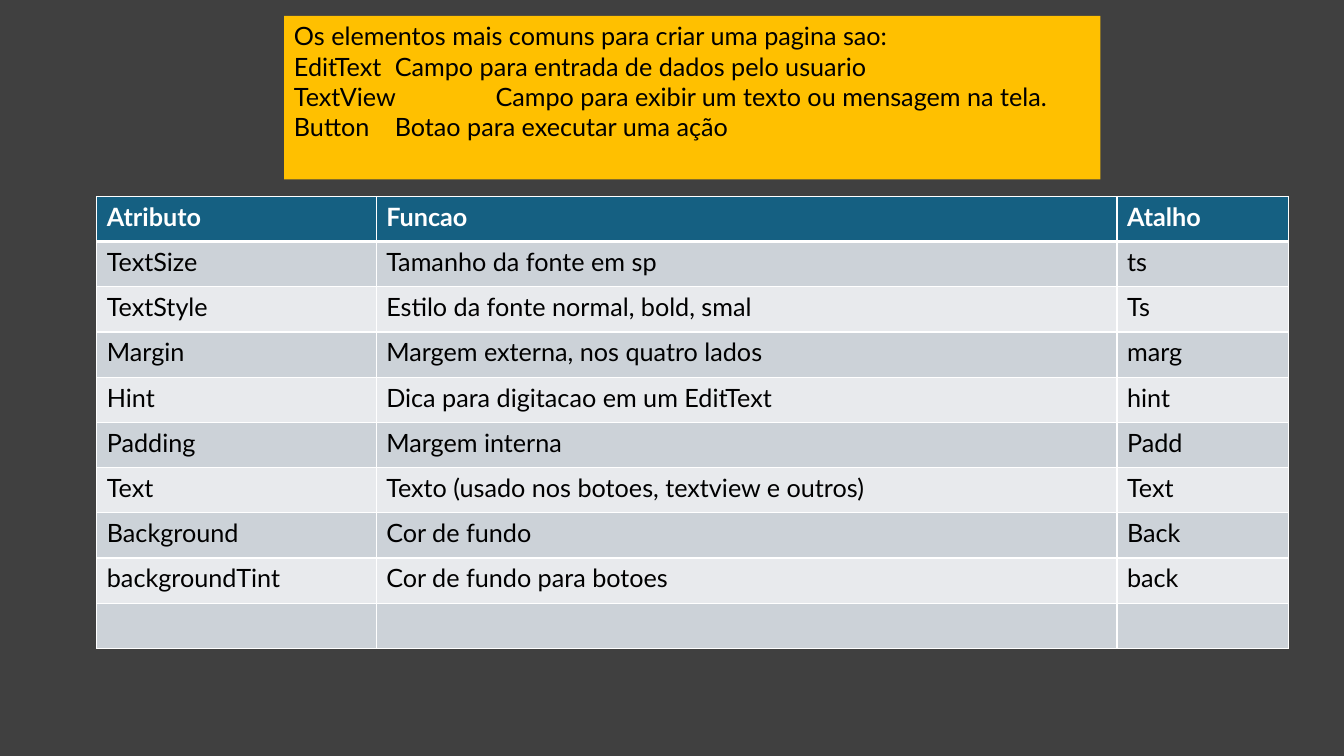
from lxml.etree import SubElement
from pptx import Presentation
from pptx.dml.color import RGBColor
from pptx.enum.shapes import MSO_SHAPE as Shape
from pptx.enum.text import MSO_ANCHOR as Anchor, PP_ALIGN as Align
from pptx.oxml.ns import qn
from pptx.util import Cm, Pt

TITLE = "Os elementos mais comuns para criar uma pagina sao:"
# name, meaning, tab stop in cm
ITEMS = [
    ("EditText", "Campo para entrada de dados pelo usuario", 2.54),
    ("TextView", "Campo para exibir um texto ou mensagem na tela.", 5.08),
    ("Button", "Botao para executar uma ação", 2.54),
]
ROWS = [
    ("Atributo", "Funcao", "Atalho"),
    ("TextSize", "Tamanho da fonte em sp", "ts"),
    ("TextStyle", "Estilo da fonte normal, bold, smal", "Ts"),
    ("Margin", "Margem externa, nos quatro lados", "marg"),
    ("Hint", "Dica para digitacao em um EditText", "hint"),
    ("Padding", "Margem interna", "Padd"),
    ("Text", "Texto (usado nos botoes, textview e outros)", "Text"),
    ("Background", "Cor de fundo", "Back"),
    ("backgroundTint", "Cor de fundo para botoes", "back"),
    ("", "", ""),
]
WIDTHS = [7.04, 18.67, 4.32]
HIGH = 1.14

GREY = RGBColor(0x40, 0x40, 0x40)
GOLD = RGBColor(0xFF, 0xC0, 0x00)
BLUE = RGBColor(0x15, 0x60, 0x82)
DARK = RGBColor(0xCC, 0xD2, 0xD8)
PALE = RGBColor(0xE8, 0xEA, 0xED)
BLACK = RGBColor(0, 0, 0)
WHITE = RGBColor(0xFF, 0xFF, 0xFF)


def write(para, text, color=BLACK, bold=False, tab=None):
    para.alignment = Align.LEFT
    font = para.font
    if text:
        run = para.add_run()
        run.text = text
        font = run.font
    font.name, font.size, font.bold = "Lato", Pt(18), bold
    font.color.rgb = color
    if tab:
        stops = SubElement(para._p.get_or_add_pPr(), qn("a:tabLst"))
        SubElement(stops, qn("a:tab"), pos=str(int(Cm(tab))), algn="l")


def edge(cell, side, width):
    props = cell._tc.get_or_add_tcPr()
    line = SubElement(props, qn("a:ln" + side), w=str(int(Pt(width))))
    fill = SubElement(line, qn("a:solidFill"))
    SubElement(fill, qn("a:srgbClr"), val=str(WHITE))


def add_box(slide):
    box = slide.shapes.add_shape(
        Shape.RECTANGLE, Cm(7.16), Cm(0.4), Cm(20.57), Cm(4.12))
    box.shadow.inherit = False
    box.fill.solid()
    box.fill.fore_color.rgb = GOLD
    box.line.fill.background()
    frame = box.text_frame
    frame.word_wrap = True
    frame.vertical_anchor = Anchor.TOP
    write(frame.paragraphs[0], TITLE)
    for name, use, tab in ITEMS:
        write(frame.add_paragraph(), "\t".join((name, use)), tab=tab)


def add_grid(slide):
    grid = slide.shapes.add_table(
        len(ROWS), len(WIDTHS), Cm(2.44), Cm(4.95),
        Cm(sum(WIDTHS)), Cm(HIGH * len(ROWS))).table
    for col, width in zip(grid.columns, WIDTHS):
        col.width = Cm(width)
    for r, row in enumerate(ROWS):
        grid.rows[r].height = Cm(HIGH)
        head = r == 0
        fill = BLUE if head else DARK if r % 2 else PALE
        for c, text in enumerate(row):
            cell = grid.cell(r, c)
            write(cell.text_frame.paragraphs[0], text,
                  color=WHITE if head else BLACK, bold=head)
            for side in "LRTB":
                thick = (r, side) in ((0, "B"), (1, "T"))
                edge(cell, side, 3 if thick else 1)
            cell.fill.solid()
            cell.fill.fore_color.rgb = fill


def main():
    deck = Presentation()
    deck.slide_width, deck.slide_height = Cm(33.87), Cm(19.05)
    slide = deck.slides.add_slide(deck.slide_layouts[6])
    slide.background.fill.solid()
    slide.background.fill.fore_color.rgb = GREY
    add_box(slide)
    add_grid(slide)
    deck.save("out.pptx")


if __name__ == "__main__":
    main()
